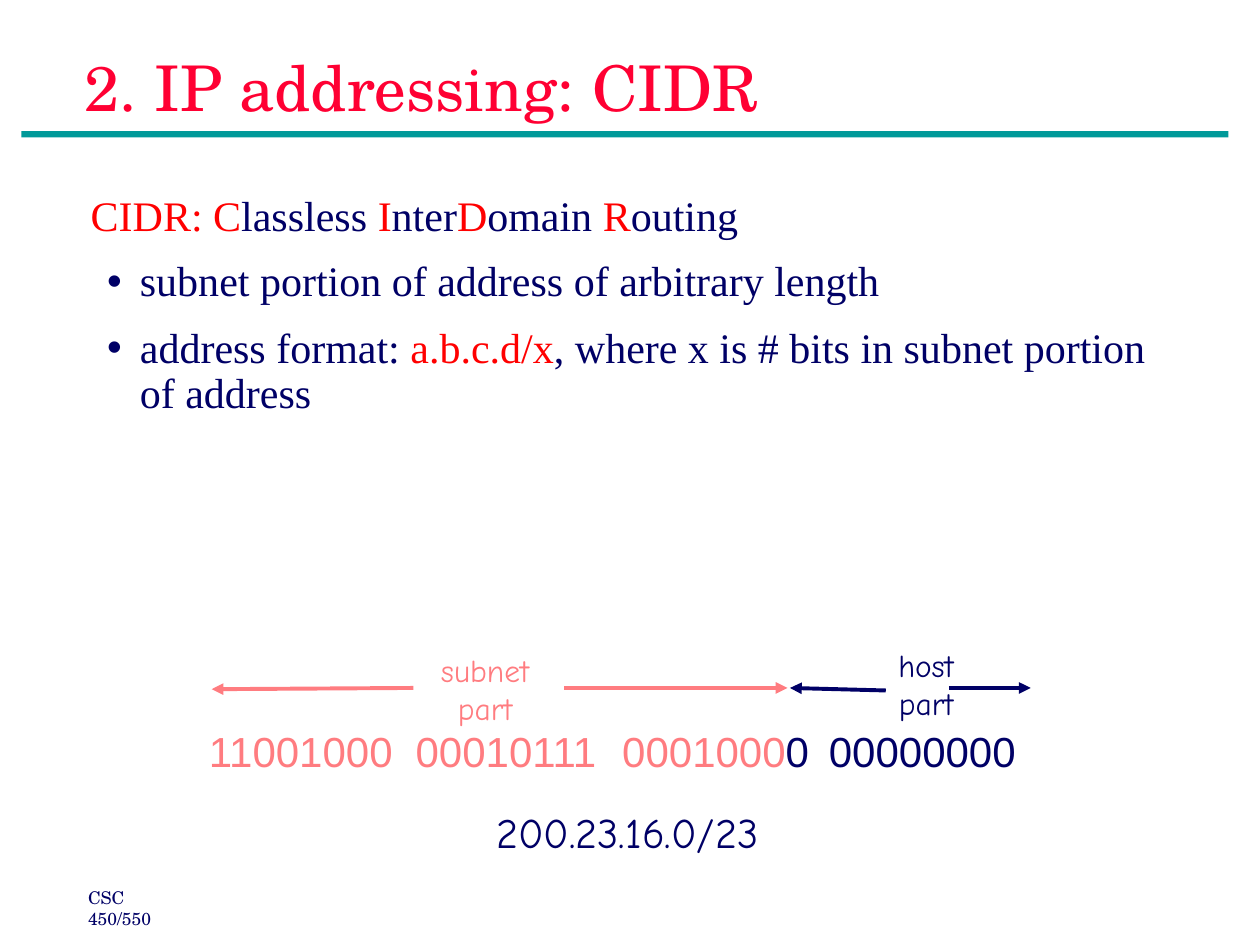
from typing import NamedTuple

from lxml.etree import SubElement
from pptx import Presentation
from pptx.dml.color import RGBColor as RGB
from pptx.enum.shapes import MSO_CONNECTOR as Conn, MSO_SHAPE as Shape
from pptx.enum.text import MSO_ANCHOR as Anchor, MSO_AUTO_SIZE as Fit, PP_ALIGN as Align
from pptx.oxml.ns import qn
from pptx.util import Inches, Pt

HUE = {"navy": "000066", "red": "FF0000", "title": "FF0033",
       "pink": "FF7C80", "teal": "009999"}
SERIF, SCHOOL, COMIC, SANS = "Times New Roman", "TeX Gyre Schola", "Comic Neue", "Arial"
PITCH = 1.64  # distance from one octet to the next


class Label(NamedTuple):
    box: tuple
    lines: list
    font: str
    size: int
    align: Align = Align.LEFT
    tabs: tuple = ()


class Arrow(NamedTuple):
    start: tuple
    end: tuple
    hue: str


LABELS = [
    Label((0.6, 6.99, 1.02, 0.27), [[("CSC 450/550", "navy")]], SCHOOL, 10),
    Label((1.56, 5.71, 6.69, 0.5),
          [[("11001000\t00010111\t0001000", "pink"), ("0\t00000000", "navy")]],
          SANS, 24, tabs=tuple(PITCH * n for n in (1, 2, 3))),
    Label((3.4, 5.12, 0.9, 0.7), [[("subnet", "pink")], [("part", "pink")]],
          COMIC, 18, Align.CENTER),
    Label((7.03, 5.08, 0.64, 0.7), [[("host", "navy")], [("part", "navy")]],
          COMIC, 18, Align.CENTER),
    Label((3.84, 6.35, 2.28, 0.5), [[("200.23.16.0/23", "navy")]], COMIC, 24),
]
ARROWS = [
    Arrow((4.48, 5.46), (6.25, 5.46), "pink"),
    Arrow((3.28, 5.46), (1.68, 5.47), "pink"),
    Arrow((7.03, 5.48), (6.27, 5.46), "navy"),
    Arrow((7.53, 5.46), (8.18, 5.46), "navy"),
]
HEAD = [("CIDR: C", "red"), ("lassless ", "navy"), ("I", "red"), ("nter", "navy"),
        ("D", "red"), ("omain ", "navy"), ("R", "red"), ("outing", "navy")]
POINTS = [
    [("subnet portion of address of arbitrary length", "navy")],
    [("address format: ", "navy"), ("a.b.c.d/x", "red"),
     (", where x is # bits in subnet portion of address", "navy")],
]


def write(para, runs: list, *, font: str, size: int, align=Align.LEFT) -> None:
    para.alignment = align
    for text, hue in runs:
        run = para.add_run()
        run.text = text
        run.font.name = font
        run.font.size = Pt(size)
        run.font.color.rgb = RGB.from_string(HUE[hue])


def place(shape, box: tuple) -> None:
    shape.left, shape.top, shape.width, shape.height = map(Inches, box)


def set_list(para, mark: str = "") -> None:
    """Give the paragraph a hanging bullet, or none without a mark."""
    props = para._p.get_or_add_pPr()
    props.set("marL", str(Inches(0.39 if mark else 0)))
    props.set("indent", str(Inches(-0.26 if mark else 0)))
    if mark:
        tint = SubElement(props, qn("a:buClr"))
        SubElement(tint, qn("a:srgbClr"), val=HUE["navy"])
        SubElement(props, qn("a:buChar"), char=mark)
    else:
        SubElement(props, qn("a:buNone"))


def add_label(slide, label: Label) -> None:
    frame = slide.shapes.add_textbox(*map(Inches, label.box)).text_frame
    frame.word_wrap = False
    frame.auto_size = Fit.SHAPE_TO_FIT_TEXT
    for i, runs in enumerate(label.lines):
        para = frame.add_paragraph() if i else frame.paragraphs[0]
        if label.tabs:
            stops = SubElement(para._p.get_or_add_pPr(), qn("a:tabLst"))
            for stop in label.tabs:
                SubElement(stops, qn("a:tab"), pos=str(Inches(stop)), algn="l")
        write(para, runs, font=label.font, size=label.size, align=label.align)


def add_arrow(slide, arrow: Arrow) -> None:
    link = slide.shapes.add_connector(
        Conn.STRAIGHT, *map(Inches, arrow.start + arrow.end))
    link.line.color.rgb = RGB.from_string(HUE[arrow.hue])
    link.line.width = Pt(2.25)
    SubElement(link.line._get_or_add_ln(), qn("a:tailEnd"), type="triangle")
    SubElement(link._element.spPr, qn("a:effectLst"))


def add_rule(slide) -> None:
    rule = slide.shapes.add_shape(
        Shape.RECTANGLE, *map(Inches, (0.17, 1.04, 9.58, 0.05)))
    rule.shadow.inherit = False
    rule.fill.solid()
    rule.fill.fore_color.rgb = RGB.from_string(HUE["teal"])
    rule.line.fill.background()


def fill_title(slide) -> None:
    title = slide.shapes.title
    place(title, (0.57, 0, 8.96, 1.37))
    frame = title.text_frame
    frame.auto_size = Fit.NONE
    frame.vertical_anchor = Anchor.MIDDLE
    write(frame.paragraphs[0], [("2. IP addressing: CIDR", "title")],
          font=SCHOOL, size=36)


def fill_body(slide) -> None:
    body = slide.placeholders[1]
    place(body, (0.62, 1.45, 8.87, 3.47))
    frame = body.text_frame
    frame.auto_size = Fit.NONE
    frame.vertical_anchor = Anchor.TOP
    first = frame.paragraphs[0]
    set_list(first)
    first.space_before = Pt(0)
    write(first, HEAD, font=SERIF, size=24)
    for runs in POINTS:
        para = frame.add_paragraph()
        para.level = 1
        set_list(para, "•")
        para.space_before = Pt(12)
        para.line_spacing = 0.9
        write(para, runs, font=SERIF, size=24)


def main() -> None:
    deck = Presentation()
    deck.slide_width, deck.slide_height = Inches(10), Inches(7.5)
    slide = deck.slides.add_slide(deck.slide_layouts[1])
    add_rule(slide)
    fill_title(slide)
    fill_body(slide)
    for label in LABELS:
        add_label(slide, label)
    for arrow in ARROWS:
        add_arrow(slide, arrow)
    deck.save("out.pptx")


if __name__ == "__main__":
    main()
